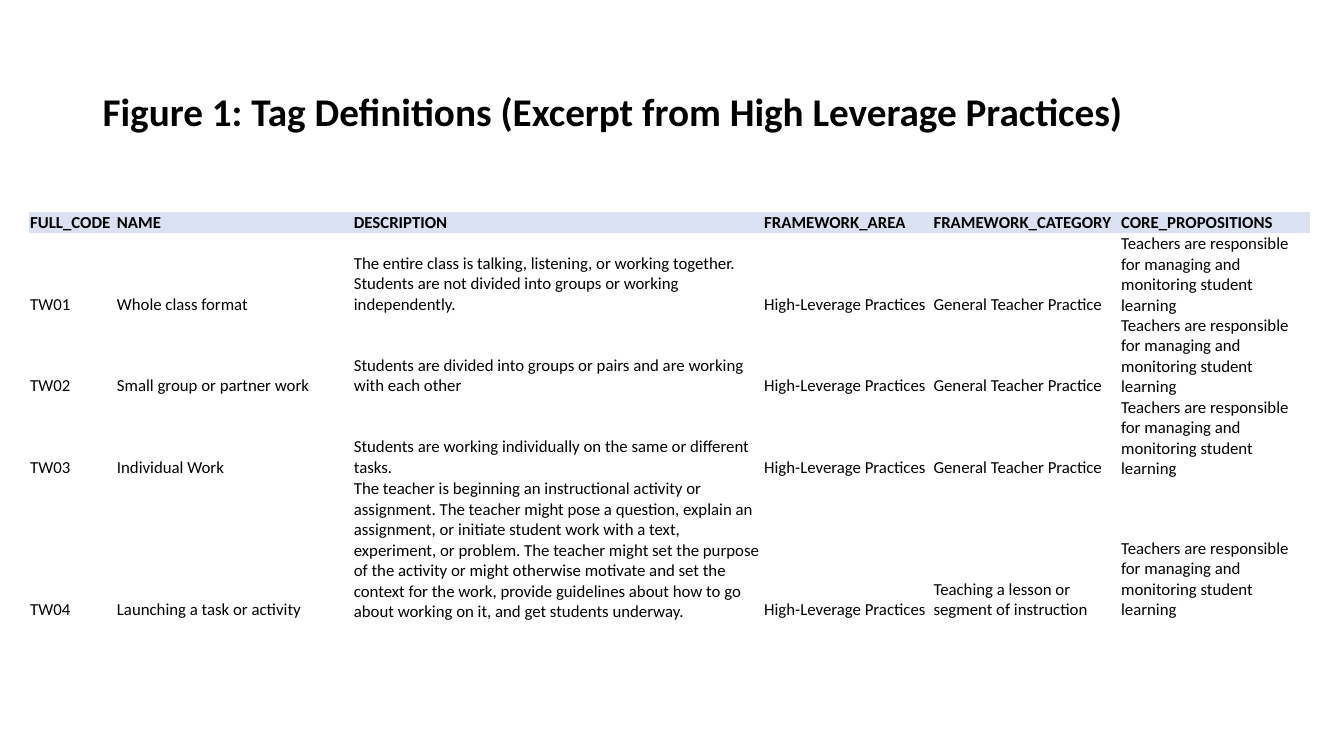
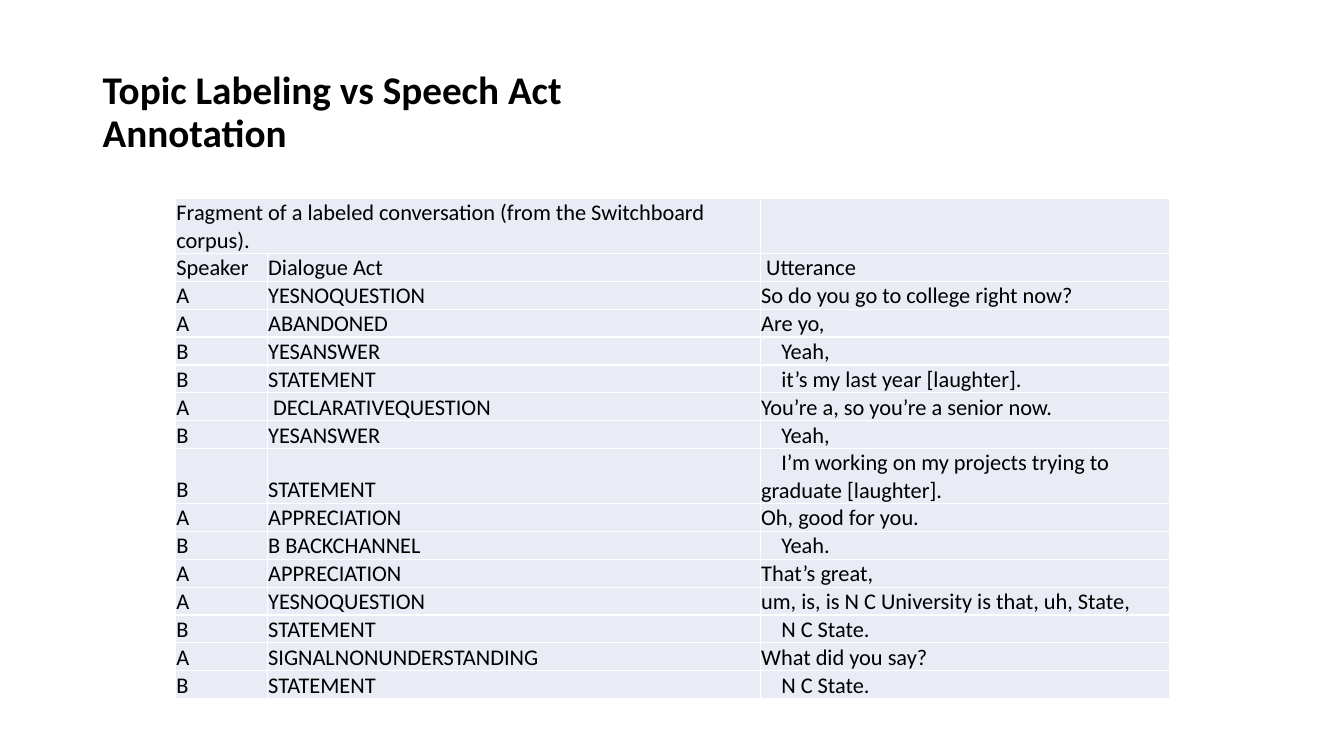
from dataclasses import dataclass

from lxml import etree
from pptx import Presentation
from pptx.dml.color import RGBColor
from pptx.enum import text
from pptx.oxml import ns
from pptx.util import Inches, Pt


@dataclass(frozen=True)
class Theme:
    font: str = "Calibri"
    ink: str = "000000"
    header_fill: str = "D9E1F2"
    body_fill: str = "E9EBF5"
    border: str = "FFFFFF"
    title_size: int = 28
    tag_size: int = 12
    dialogue_size: int = 16


THEME = Theme()
NO_STYLE = "{2D5ABB26-0587-4C30-8999-92F81FD0307C}"

TAG_HEADER = ("FULL_CODE", "NAME", "DESCRIPTION", "FRAMEWORK_AREA",
              "FRAMEWORK_CATEGORY", "CORE_PROPOSITIONS")
AREA = "High-Leverage Practices"
GENERAL = "General Teacher Practice"
PROPOSITION = "Teachers are responsible for managing and monitoring student learning"
TAGS = [
    ("TW01", "Whole class format",
     "The entire class is talking, listening, or working together. Students are "
     "not divided into groups or working independently.", GENERAL),
    ("TW02", "Small group or partner work",
     "Students are divided into groups or pairs and are working with each other",
     GENERAL),
    ("TW03", "Individual Work",
     "Students are working individually on the same or different tasks.", GENERAL),
    ("TW04", "Launching a task or activity",
     "The teacher is beginning an instructional activity or assignment. The teacher "
     "might pose a question, explain an assignment, or initiate student work with a "
     "text, experiment, or problem. The teacher might set the purpose of the activity "
     "or might otherwise motivate and set the context for the work, provide guidelines "
     "about how to go about working on it, and get students underway.",
     "Teaching a lesson or segment of instruction"),
]

CAPTION = "Fragment of a labeled conversation (from the Switchboard corpus)."
DIALOGUE_HEADER = ("Speaker", "Dialogue Act", "Utterance")
DIALOGUE = [
    ("A", "YESNOQUESTION", "So do you go to college right now?"),
    ("A", "ABANDONED", "Are yo,"),
    ("B", "YESANSWER", "Yeah,"),
    ("B", "STATEMENT", "it’s my last year [laughter]."),
    ("A", "DECLARATIVEQUESTION", "You’re a, so you’re a senior now."),
    ("B", "YESANSWER", "Yeah,"),
    ("B", "STATEMENT", "I’m working on my projects trying to graduate [laughter]."),
    ("A", "APPRECIATION", "Oh, good for you."),
    ("B", "B BACKCHANNEL", "Yeah."),
    ("A", "APPRECIATION", "That’s great,"),
    ("A", "YESNOQUESTION", "um, is, is N C University is that, uh, State,"),
    ("B", "STATEMENT", "N C State."),
    ("A", "SIGNALNONUNDERSTANDING", "What did you say?"),
    ("B", "STATEMENT", "N C State."),
]


def style_font(font, size, bold=False):
    font.name = THEME.font
    font.size = Pt(size)
    font.bold = bold
    font.color.rgb = RGBColor.from_string(THEME.ink)


def add_title(s, title, width):
    sp = s.shapes.add_textbox(Inches(0.92), Inches(0.4), Inches(width), Inches(1.45))
    tf = sp.text_frame
    tf.word_wrap = True
    tf.vertical_anchor = text.MSO_ANCHOR.MIDDLE
    tf.text = title
    p = tf.paragraphs[0]
    p.line_spacing = 0.9
    style_font(p.runs[0].font, THEME.title_size, bold=True)


def add_plain_table(s, left, top, widths, heights):
    """Add a table without built-in style, banding or grid."""
    frame = s.shapes.add_table(len(heights), len(widths), Inches(left), Inches(top),
                               Inches(sum(widths)), Inches(sum(heights)))
    table = frame.table
    table.first_row = table.horz_banding = False
    table._tbl.tblPr.find(ns.qn("a:tableStyleId")).text = NO_STYLE
    for column, width in zip(table.columns, widths):
        column.width = Inches(width)
    for row, height in zip(table.rows, heights):
        row.height = Inches(height)
    return table


def add_borders(cell):
    tcPr = cell._tc.get_or_add_tcPr()
    for side in ("a:lnL", "a:lnR", "a:lnT", "a:lnB"):
        ln = etree.SubElement(tcPr, ns.qn(side), w=str(Pt(1)))
        fill = etree.SubElement(ln, ns.qn("a:solidFill"))
        etree.SubElement(fill, ns.qn("a:srgbClr"), val=THEME.border)


def fill_cell(cell, content, size, fill=None, bold=False, indent=0):
    """Write bottom-aligned text; indent moves its first line only."""
    cell.margin_left = cell.margin_right = cell.margin_top = Inches(0.01)
    cell.margin_bottom = 0
    cell.vertical_anchor = text.MSO_ANCHOR.BOTTOM
    if fill:
        cell.fill.solid()
        cell.fill.fore_color.rgb = RGBColor.from_string(fill)
    else:
        cell.fill.background()
    p = cell.text_frame.paragraphs[0]
    p.text = content
    if indent:
        p._p.get_or_add_pPr().set("indent", str(Inches(indent)))
    style_font(p.font, size, bold)
    for r in p.runs:
        style_font(r.font, size, bold)


def dialogue_indent(row, column):
    speaker, _, utterance = row
    if column == 2 and speaker == "B":
        return 0.2
    return 0.05 if row[column] in ("Utterance", "DECLARATIVEQUESTION") else 0


def add_tag_slide(prs):
    s = prs.slides.add_slide(prs.slide_layouts[6])
    add_title(s, "Figure 1: Tag Definitions (Excerpt from High Leverage Practices)", 11.5)
    table = add_plain_table(s, 0.29, 2.1, (0.86, 2.35, 4.07, 1.68, 1.86, 1.88),
                            (0.19, 0.76, 0.76, 0.76, 1.33))
    rows = [TAG_HEADER] + [(code, name, description, AREA, category, PROPOSITION)
                           for code, name, description, category in TAGS]
    for i, row in enumerate(rows):
        for j, content in enumerate(row):
            fill_cell(table.cell(i, j), content, THEME.tag_size,
                      fill=THEME.header_fill if i == 0 else None, bold=i == 0)


def add_dialogue_slide(prs):
    s = prs.slides.add_slide(prs.slide_layouts[6])
    add_title(s, "Topic Labeling vs Speech Act Annotation", 4.95)
    rows = [(CAPTION, "", ""), DIALOGUE_HEADER] + DIALOGUE
    table = add_plain_table(s, 1.74, 1.97, (0.91, 4.89, 4.06), [0.22] * len(rows))
    table.cell(0, 0).merge(table.cell(0, 1))
    for i, row in enumerate(rows):
        for j, content in enumerate(row):
            cell = table.cell(i, j)
            add_borders(cell)
            fill_cell(cell, content, THEME.dialogue_size, fill=THEME.body_fill,
                      indent=dialogue_indent(row, j))


def main():
    prs = Presentation()
    prs.slide_width, prs.slide_height = Inches(13.33), Inches(7.5)
    add_tag_slide(prs)
    add_dialogue_slide(prs)
    prs.save("out.pptx")


if __name__ == "__main__":
    main()
